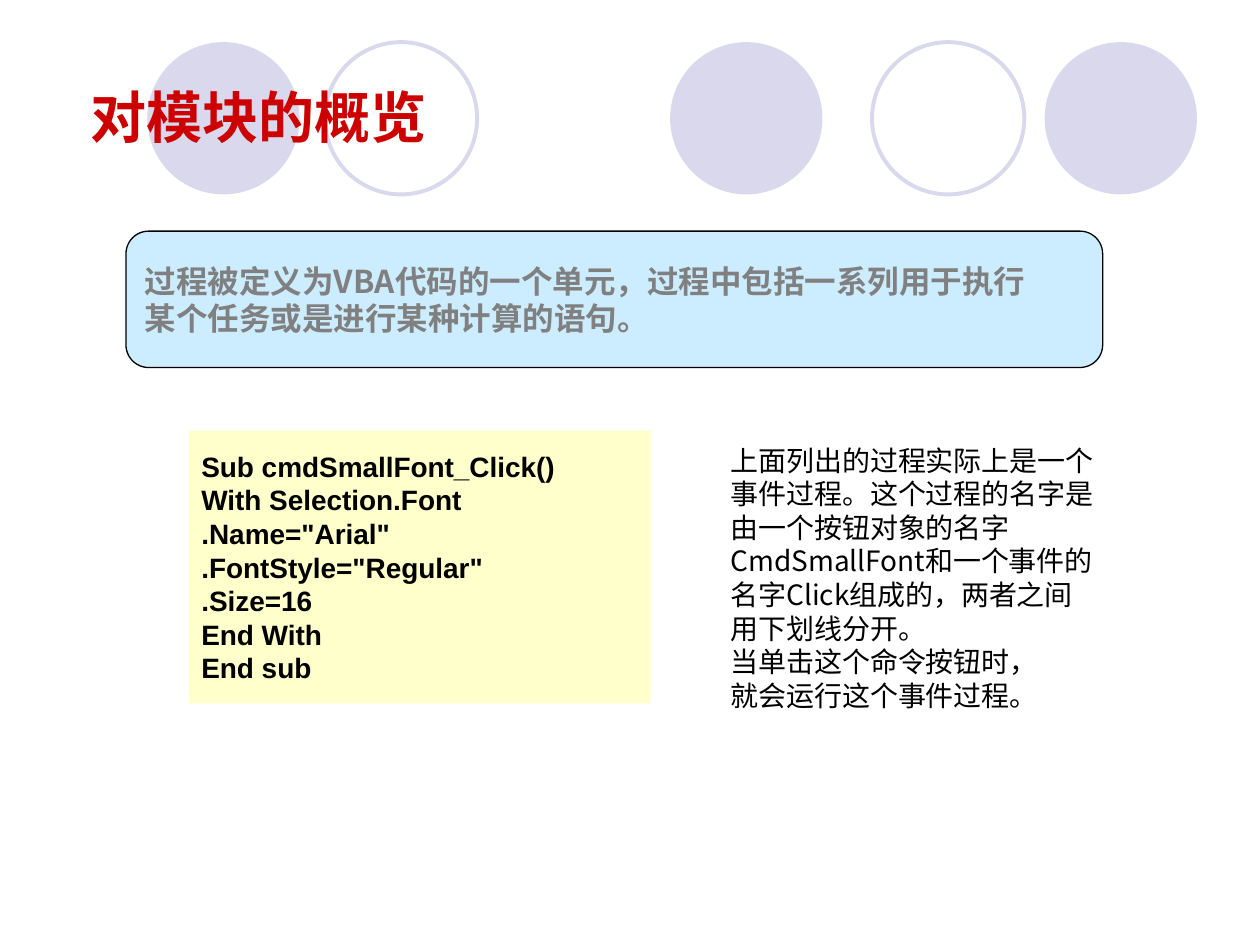
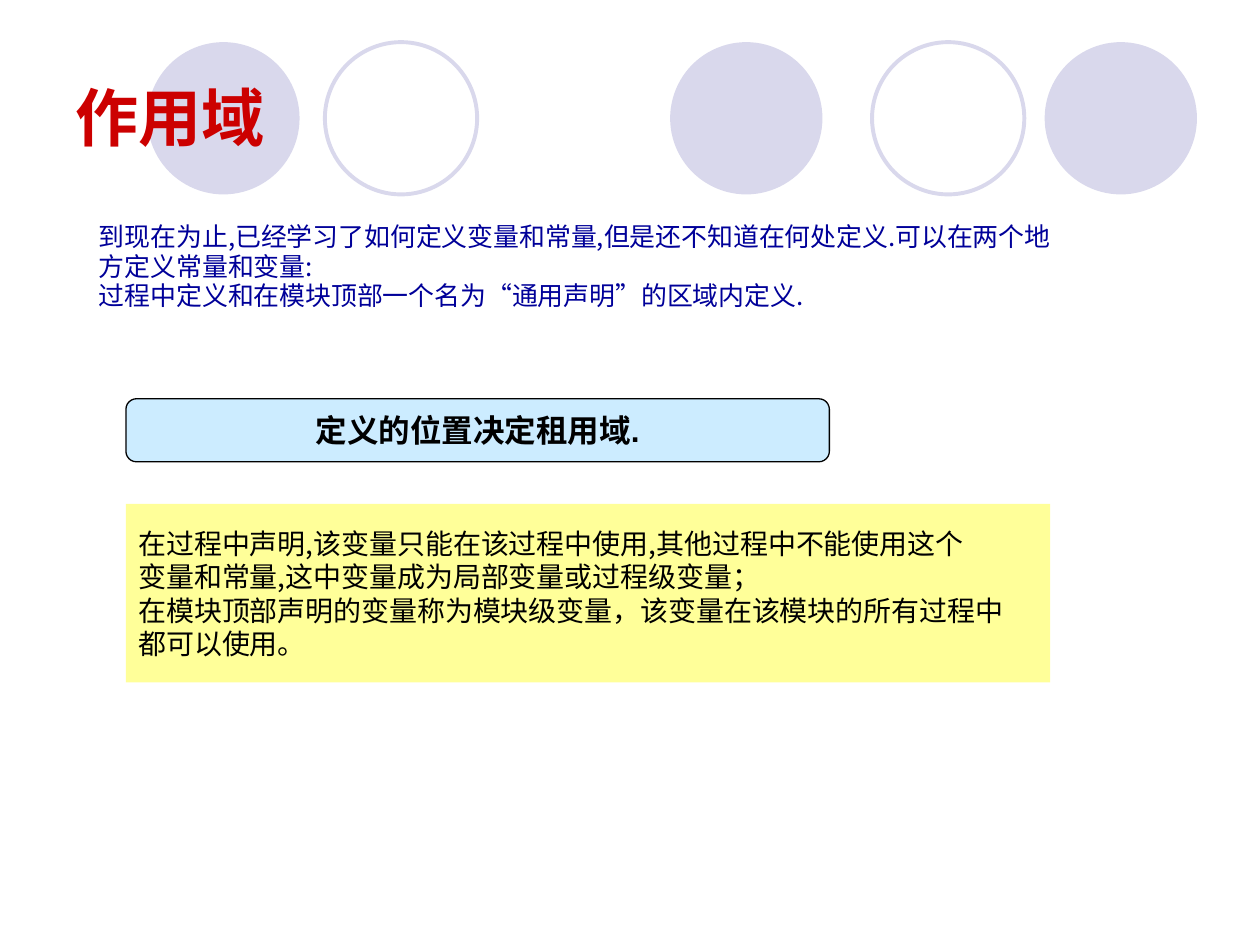
from lxml.etree import SubElement
from pptx import Presentation
from pptx.dml.color import RGBColor
from pptx.enum.shapes import MSO_SHAPE
from pptx.enum.text import MSO_ANCHOR, MSO_AUTO_SIZE, PP_ALIGN
from pptx.oxml.ns import qn
from pptx.util import Cm, Pt

LILAC = RGBColor(0xD9, 0xD8, 0xEC)
RED = RGBColor(0xCC, 0x00, 0x00)
NAVY = RGBColor(0x00, 0x00, 0x99)
GREY = RGBColor(0x80, 0x80, 0x80)
BLACK = RGBColor(0x00, 0x00, 0x00)
SKY = RGBColor(0xCC, 0xEC, 0xFF)
CREAM = RGBColor(0xFF, 0xFF, 0xCC)
YELLOW = RGBColor(0xFF, 0xFF, 0x99)
LATIN, CJK = "Arial", "Noto Sans CJK SC"


def write(tf, text, size, color, bold=False, font=CJK, align=PP_ALIGN.LEFT):
    """Fill a text frame, one paragraph per line, and format its runs."""
    tf.text = text
    tf.auto_size = MSO_AUTO_SIZE.NONE
    for p in tf.paragraphs:
        p.alignment = align
        for r in p.runs:
            r.font.name, r.font.size, r.font.bold = font, Pt(size), bold
            r.font.color.rgb = color
            SubElement(r._r.rPr, qn("a:ea"), typeface=CJK)


def add_box(s, kind, left, top, width, height, fill, line=None):
    """Add a preset shape with lengths in cm; None means no fill or no line."""
    sp = s.shapes.add_shape(kind, Cm(left), Cm(top), Cm(width), Cm(height))
    sp.shadow.inherit = False
    if fill is None:
        sp.fill.background()
    else:
        sp.fill.solid()
        sp.fill.fore_color.rgb = fill
    if line is None:
        sp.line.fill.background()
    else:
        sp.line.color.rgb = line
        sp.line.width = Pt(0.75)
    sp.text_frame.word_wrap = True
    sp.text_frame.vertical_anchor = MSO_ANCHOR.MIDDLE
    return sp


prs = Presentation()
prs.slide_width, prs.slide_height = Cm(25.4), Cm(19.05)
s1 = prs.slides.add_slide(prs.slide_layouts[5])
s2 = prs.slides.add_slide(prs.slide_layouts[1])

# Row of circles, moved to the master behind the placeholders
circles = [(2.97, True), (6.55, False), (13.51, True), (17.58, False), (21.06, True)]
for i, (left, solid) in enumerate(circles):
    sp = add_box(s1, MSO_SHAPE.OVAL, left, 0.85, 3.07, 3.07,
                 LILAC if solid else None, None if solid else LILAC)
    if not solid:
        sp.line.width = Pt(2.25)
    sp.element.nvSpPr.cNvPr.set("id", str(20 + i))
    prs.slide_master.shapes.element.insert(2 + i, sp.element)

# Titles
for s, text, size, inset in [(s1, "对模块的概览", 32, 0.55), (s2, "作用域", 36, 0.25)]:
    sp = s.shapes.title
    sp.left, sp.top, sp.width, sp.height = Cm(1.27), Cm(0.76), Cm(22.86), Cm(3.18)
    tf = sp.text_frame
    tf.vertical_anchor = MSO_ANCHOR.MIDDLE
    tf.margin_left = Cm(inset)
    write(tf, text, size, RED, bold=True, font=LATIN)

# Slide 1: definition of a procedure
sp = add_box(s1, MSO_SHAPE.ROUNDED_RECTANGLE, 2.54, 4.66, 19.69, 2.75, SKY, BLACK)
write(sp.text_frame, "过程被定义为VBA代码的一个单元，过程中包括一系列用于执行\n"
      "某个任务或是进行某种计算的语句。", 18, GREY, bold=True)

# Slide 1: code listing
sp = add_box(s1, MSO_SHAPE.RECTANGLE, 3.81, 8.68, 9.31, 5.5, CREAM)
write(sp.text_frame, """Sub cmdSmallFont_Click()
With Selection.Font
.Name="Arial"
.FontStyle="Regular"
.Size=16
End With
End sub""", 16, BLACK, bold=True, font=LATIN)

# Slide 1: explanation
tb = s1.shapes.add_textbox(Cm(14.48), Cm(8.81), Cm(8.1), Cm(5.69))
write(tb.text_frame, """上面列出的过程实际上是一个
事件过程。这个过程的名字是
由一个按钮对象的名字
CmdSmallFont和一个事件的
名字Click组成的，两者之间
用下划线分开。
当单击这个命令按钮时，
就会运行这个事件过程。""", 16, BLACK)

# Slide 2: introduction
body = s2.placeholders[1]
body.left, body.top, body.width, body.height = Cm(1.27), Cm(4.45), Cm(22.86), Cm(2.96)
tf = body.text_frame
write(tf, "到现在为止,已经学习了如何定义变量和常量,但是还不知道在何处定义.可以在两个地\n"
      "方定义常量和变量:\n"
      "过程中定义和在模块顶部一个名为“通用声明”的区域内定义.", 14.8, NAVY)
for i, p in enumerate(tf.paragraphs):
    pPr = p._p.get_or_add_pPr()
    pPr.set("marL", str(Cm(0.47)))
    pPr.set("indent", "0")
    SubElement(pPr, qn("a:buNone"))
    p.line_spacing = 0.8
    p.space_before = Pt(2.6 if i else 0)

# Slide 2: key statement
sp = add_box(s2, MSO_SHAPE.ROUNDED_RECTANGLE, 2.54, 8.04, 14.18, 1.27, SKY, BLACK)
write(sp.text_frame, "定义的位置决定租用域.", 18, BLACK, bold=True, font=LATIN,
      align=PP_ALIGN.CENTER)

# Slide 2: local and module level variables
sp = add_box(s2, MSO_SHAPE.RECTANGLE, 2.54, 10.16, 18.63, 3.6, YELLOW)
write(sp.text_frame, """在过程中声明,该变量只能在该过程中使用,其他过程中不能使用这个
变量和常量,这中变量成为局部变量或过程级变量；
在模块顶部声明的变量称为模块级变量，该变量在该模块的所有过程中
都可以使用。""", 16, BLACK)

prs.save("out.pptx")
